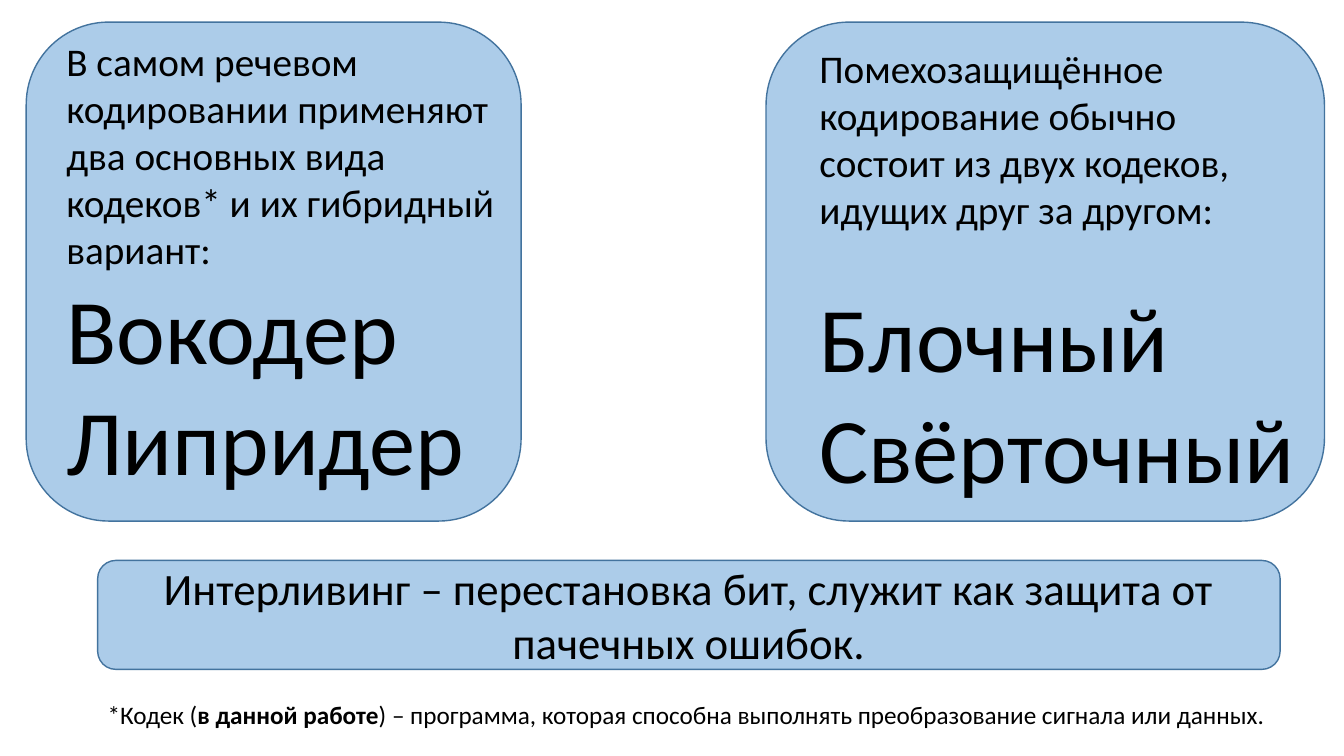
from dataclasses import dataclass

from lxml.etree import SubElement
from pptx import Presentation
from pptx.dml.color import RGBColor
from pptx.enum.shapes import MSO_SHAPE
from pptx.enum.text import MSO_ANCHOR, MSO_AUTO_SIZE, PP_ALIGN
from pptx.oxml.ns import qn
from pptx.util import Pt


@dataclass(frozen=True)
class Theme:
    font: str = "Calibri"
    ink: RGBColor = RGBColor(0, 0, 0)
    panel: RGBColor = RGBColor(0x5B, 0x9B, 0xD5)
    outline: RGBColor = RGBColor(0x43, 0x73, 0x9E)
    panel_opacity: int = 50
    note: int = 18
    intro: int = 28
    banner: int = 32
    codec: int = 66


THEME = Theme()


def place(left, top, width, height):
    return Pt(left), Pt(top), Pt(width), Pt(height)


def style(paragraph, size):
    for run in paragraph.runs:
        run.font.name = THEME.font
        run.font.size = Pt(size)
        run.font.color.rgb = THEME.ink


def add_panel(slide, *bounds):
    panel = slide.shapes.add_shape(MSO_SHAPE.ROUNDED_RECTANGLE, *place(*bounds))
    panel.shadow.inherit = False
    panel.fill.solid()
    panel.fill.fore_color.rgb = THEME.panel
    tint = panel.fill._xPr.find(qn("a:solidFill"))[0]
    SubElement(tint, qn("a:alpha"), val=str(THEME.panel_opacity * 1000))
    panel.line.color.rgb = THEME.outline
    panel.line.width = Pt(1)
    return panel


def add_text(slide, bounds, lines, wrap=False):
    frame = slide.shapes.add_textbox(*place(*bounds)).text_frame
    frame.word_wrap = wrap
    frame.auto_size = MSO_AUTO_SIZE.SHAPE_TO_FIT_TEXT
    frame.text = "\n".join(line for line, _ in lines)
    for paragraph, (_, size) in zip(frame.paragraphs, lines):
        style(paragraph, size)
    return frame


def add_codecs(slide, bounds, intro, codecs, gap=0, wrap=False):
    lines = [(line, THEME.intro) for line in intro]
    lines += [(codec, THEME.codec) for codec in codecs]
    frame = add_text(slide, bounds, lines, wrap)
    frame.paragraphs[len(intro)].space_before = Pt(gap)


def add_banner(slide, bounds, message):
    frame = add_panel(slide, *bounds).text_frame
    frame.word_wrap = True
    frame.vertical_anchor = MSO_ANCHOR.MIDDLE
    frame.text = message
    frame.paragraphs[0].alignment = PP_ALIGN.CENTER
    style(frame.paragraphs[0], THEME.banner)


def add_footnote(slide, bounds, before, emphasis, after):
    footnote = add_text(slide, bounds, [(before, THEME.note)]).paragraphs[0]
    for part in (emphasis, after):
        footnote.add_run().text = part
    style(footnote, THEME.note)
    footnote.runs[1].font.bold = True


def main():
    deck = Presentation()
    deck.slide_width, deck.slide_height = Pt(960), Pt(540)
    slide = deck.slides.add_slide(deck.slide_layouts[6])

    for left, width in ((547.2, 398.9), (18.7, 353.5)):
        add_panel(slide, left, 15.8, width, 356.4)

    add_codecs(
        slide, (40.3, 23, 331.2, 337),
        ["В самом речевом кодировании применяют два основных вида "
         "кодеков* и их гибридный вариант:"],
        ["Вокодер", "Липридер"], wrap=True)
    add_codecs(
        slide, (578.2, 28.1, 357.8, 337),
        ["Помехозащищённое", "кодирование обычно",
         "состоит из двух кодеков,", "идущих друг за другом:"],
        ["Блочный", "Свёрточный"], gap=34.2)

    add_footnote(
        slide, (69.8, 496.1, 866.2, 28.8), "*Кодек (", "в данной работе",
        ") – программа, которая способна выполнять преобразование "
        "сигнала или данных.")
    add_banner(
        slide, (69.8, 400.3, 844.6, 77.8),
        "Интерливинг – перестановка бит, служит как защита от "
        "пачечных ошибок.")
    deck.save("out.pptx")


main()
